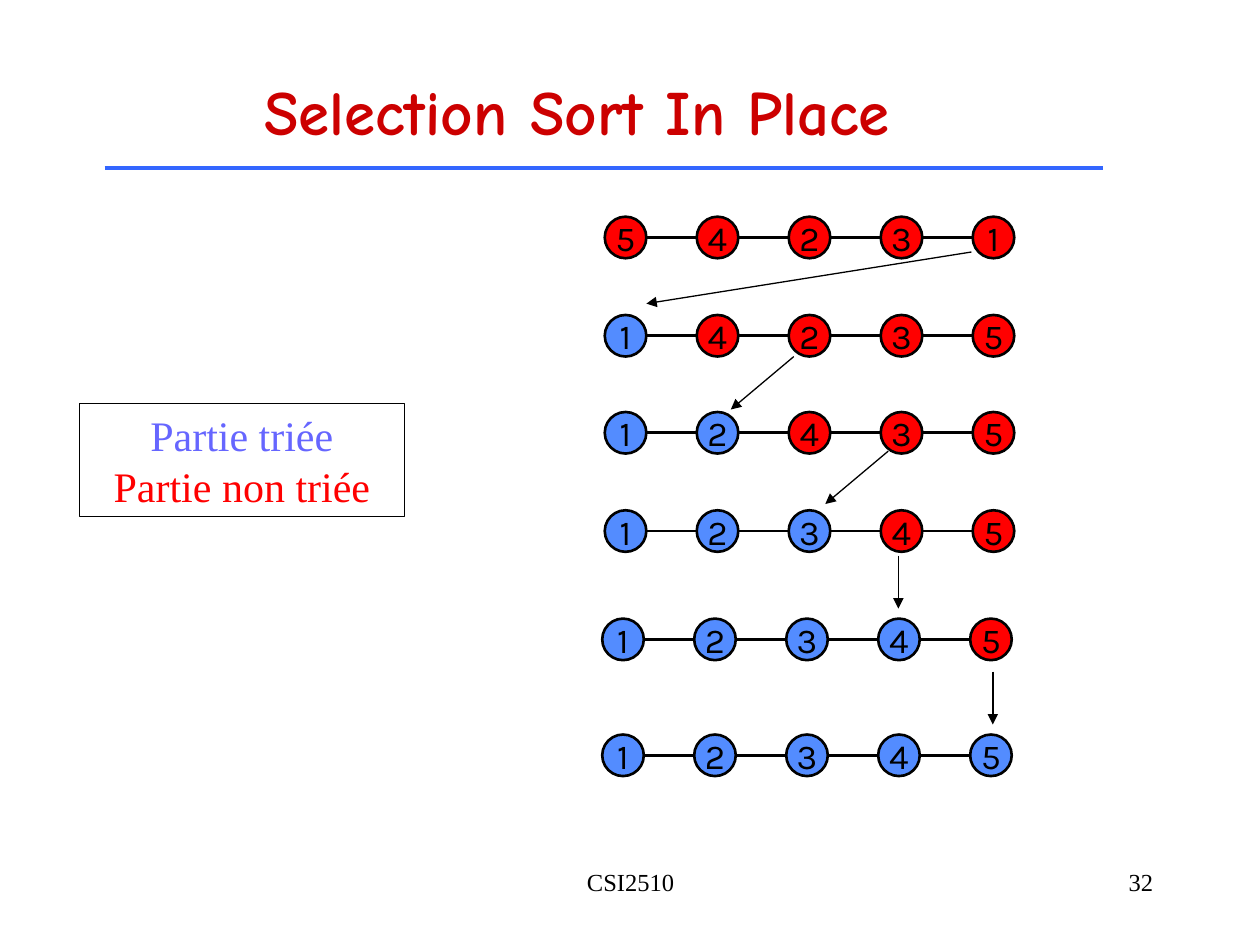
from dataclasses import dataclass

from lxml import etree
from pptx import Presentation
from pptx.dml.color import RGBColor
from pptx.enum import shapes, text
from pptx.oxml.ns import qn
from pptx.util import Inches, Pt

BLACK = RGBColor(0x00, 0x00, 0x00)
TITLE_RED = RGBColor(0xCC, 0x00, 0x00)
RULE_BLUE = RGBColor(0x33, 0x66, 0xFF)
SORTED_BLUE = RGBColor(0x53, 0x8C, 0xFF)
UNSORTED_RED = RGBColor(0xFF, 0x00, 0x00)
LEGEND_BLUE = RGBColor(0x66, 0x66, 0xFF)

SERIF = "Times New Roman"
NODE_SIZE = 0.33
NODE_PITCH = 0.73


@dataclass(frozen=True)
class Pass:
    """State of the list; the first sorted_count values are in place."""
    left: float
    top: float
    values: str
    sorted_count: int


@dataclass(frozen=True)
class Move:
    x1: float
    y1: float
    x2: float
    y2: float


PASSES = [
    Pass(4.8, 1.72, "54231", 0),
    Pass(4.8, 2.5, "14235", 1),
    Pass(4.8, 3.27, "12435", 2),
    Pass(4.8, 4.05, "12345", 3),
    Pass(4.78, 4.91, "12345", 4),
    Pass(4.78, 5.83, "12345", 5),
]

MOVES = [
    Move(7.71, 2, 5.13, 2.41),
    Move(6.3, 2.83, 5.8, 3.25),
    Move(7.05, 3.58, 6.55, 4),
    Move(7.13, 4.41, 7.13, 4.83),
    Move(7.88, 5.33, 7.88, 5.75),
]


def write(p, content: str, *, font: str, size: float, color: RGBColor = BLACK,
          bold: bool = False, align=text.PP_ALIGN.CENTER) -> None:
    p.alignment = align
    r = p.add_run()
    r.text = content
    r.font.name = font
    r.font.size = Pt(size)
    r.font.bold = bold
    r.font.color.rgb = color


def add_line(slide, x1: float, y1: float, x2: float, y2: float, *,
             color: RGBColor = BLACK, width: float = 1.5, arrow: bool = False) -> None:
    line = slide.shapes.add_connector(
        shapes.MSO_CONNECTOR.STRAIGHT, Inches(x1), Inches(y1), Inches(x2), Inches(y2))
    line.line.color.rgb = color
    line.line.width = Pt(width)
    if arrow:
        etree.SubElement(line.line._get_or_add_ln(), qn("a:tailEnd"), type="triangle")
    etree.SubElement(line._element.spPr, qn("a:effectLst"))


def add_node(slide, left: float, top: float, value: str, fill: RGBColor) -> None:
    sp = slide.shapes.add_shape(shapes.MSO_SHAPE.OVAL, Inches(left), Inches(top),
                                Inches(NODE_SIZE), Inches(NODE_SIZE))
    sp.shadow.inherit = False
    sp.fill.solid()
    sp.fill.fore_color.rgb = fill
    sp.line.color.rgb = BLACK
    sp.line.width = Pt(1.5)
    tf = sp.text_frame
    tf.word_wrap = False
    tf.vertical_anchor = text.MSO_ANCHOR.MIDDLE
    write(tf.paragraphs[0], value, font="Karla", size=20)


def add_pass(slide, row: Pass) -> None:
    middle = row.top + NODE_SIZE / 2
    last = row.left + NODE_PITCH * (len(row.values) - 1)
    add_line(slide, row.left + NODE_SIZE, middle, last, middle)
    for i, value in enumerate(row.values):
        fill = SORTED_BLUE if i < row.sorted_count else UNSORTED_RED
        add_node(slide, row.left + NODE_PITCH * i, row.top, value, fill)


def add_footer(slide, left: float, width: float, content: str, align) -> None:
    box = slide.shapes.add_textbox(Inches(left), Inches(6.83), Inches(width), Inches(0.5))
    box.text_frame.word_wrap = True
    write(box.text_frame.paragraphs[0], content, font=SERIF, size=14, align=align)


def add_title(slide) -> None:
    title = slide.shapes.title
    title.left, title.top = Inches(0.33), Inches(0.25)
    title.width, title.height = Inches(8.5), Inches(1.25)
    tf = title.text_frame
    tf.auto_size = text.MSO_AUTO_SIZE.NONE
    tf.vertical_anchor = text.MSO_ANCHOR.MIDDLE
    write(tf.paragraphs[0], "Selection Sort In Place", font="Comic Neue", size=36,
          color=TITLE_RED, bold=True)


def add_legend(slide) -> None:
    sp = slide.shapes.add_shape(shapes.MSO_SHAPE.RECTANGLE, Inches(0.63), Inches(3.2),
                                Inches(2.58), Inches(0.9))
    sp.shadow.inherit = False
    sp.fill.background()
    sp.line.color.rgb = BLACK
    sp.line.width = Pt(0.75)
    tf = sp.text_frame
    tf.word_wrap = True
    tf.vertical_anchor = text.MSO_ANCHOR.TOP
    entries = [("Partie triée", LEGEND_BLUE), ("Partie non triée", UNSORTED_RED)]
    for i, (label, color) in enumerate(entries):
        p = tf.add_paragraph() if i else tf.paragraphs[0]
        p.line_spacing = Pt(29)
        write(p, label, font=SERIF, size=24, color=color)


def main() -> None:
    prs = Presentation()
    prs.slide_width, prs.slide_height = Inches(10), Inches(7.5)
    slide = prs.slides.add_slide(prs.slide_layouts[5])

    add_footer(slide, 3.42, 3.17, "CSI2510", text.PP_ALIGN.CENTER)
    add_footer(slide, 7.17, 2.08, "32", text.PP_ALIGN.RIGHT)
    add_title(slide)
    add_line(slide, 0.83, 1.33, 8.75, 1.33, color=RULE_BLUE, width=2.25)
    for row in PASSES:
        add_pass(slide, row)
    for m in MOVES:
        add_line(slide, m.x1, m.y1, m.x2, m.y2, width=0.75, arrow=True)
    add_legend(slide)

    prs.save("out.pptx")


if __name__ == "__main__":
    main()
